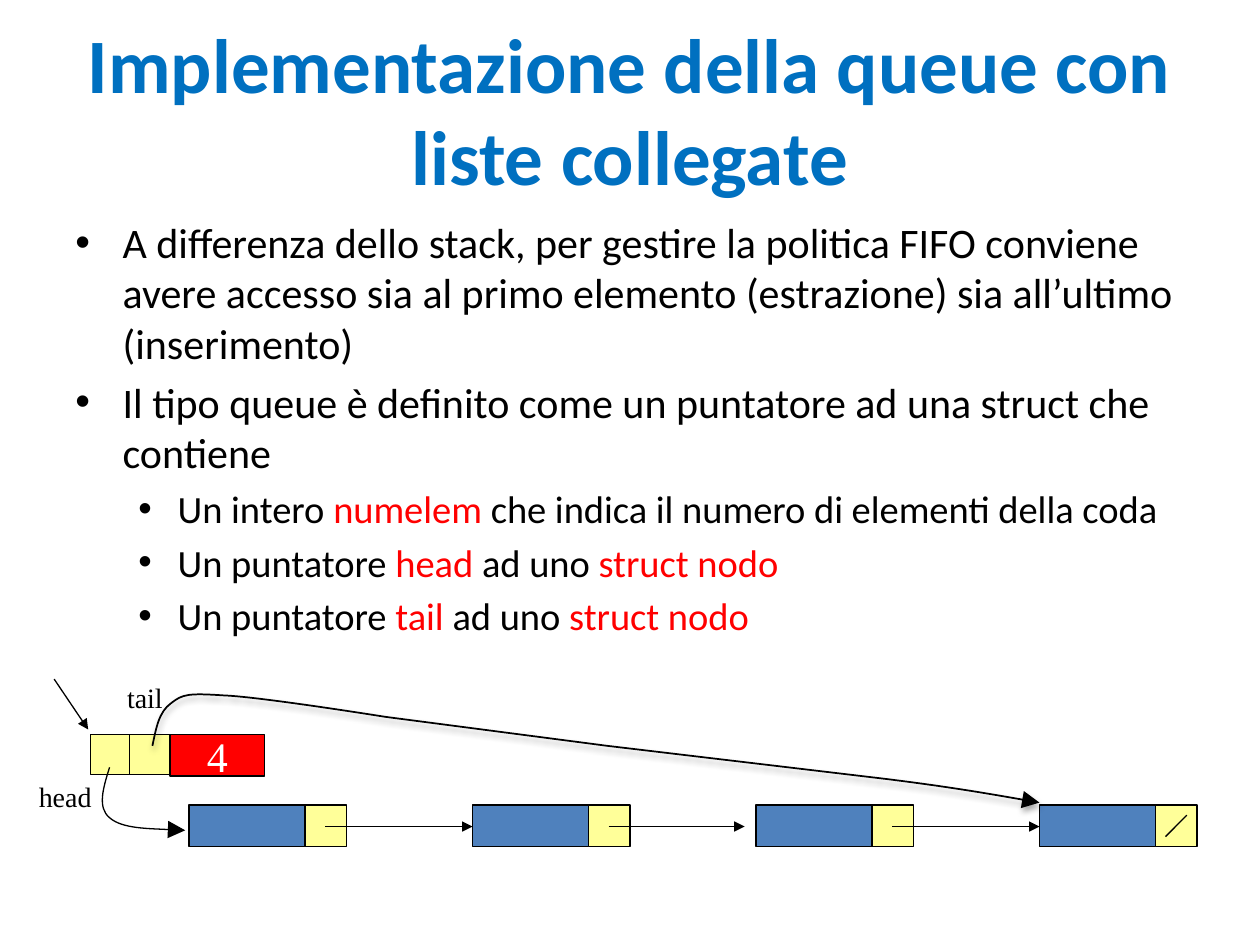
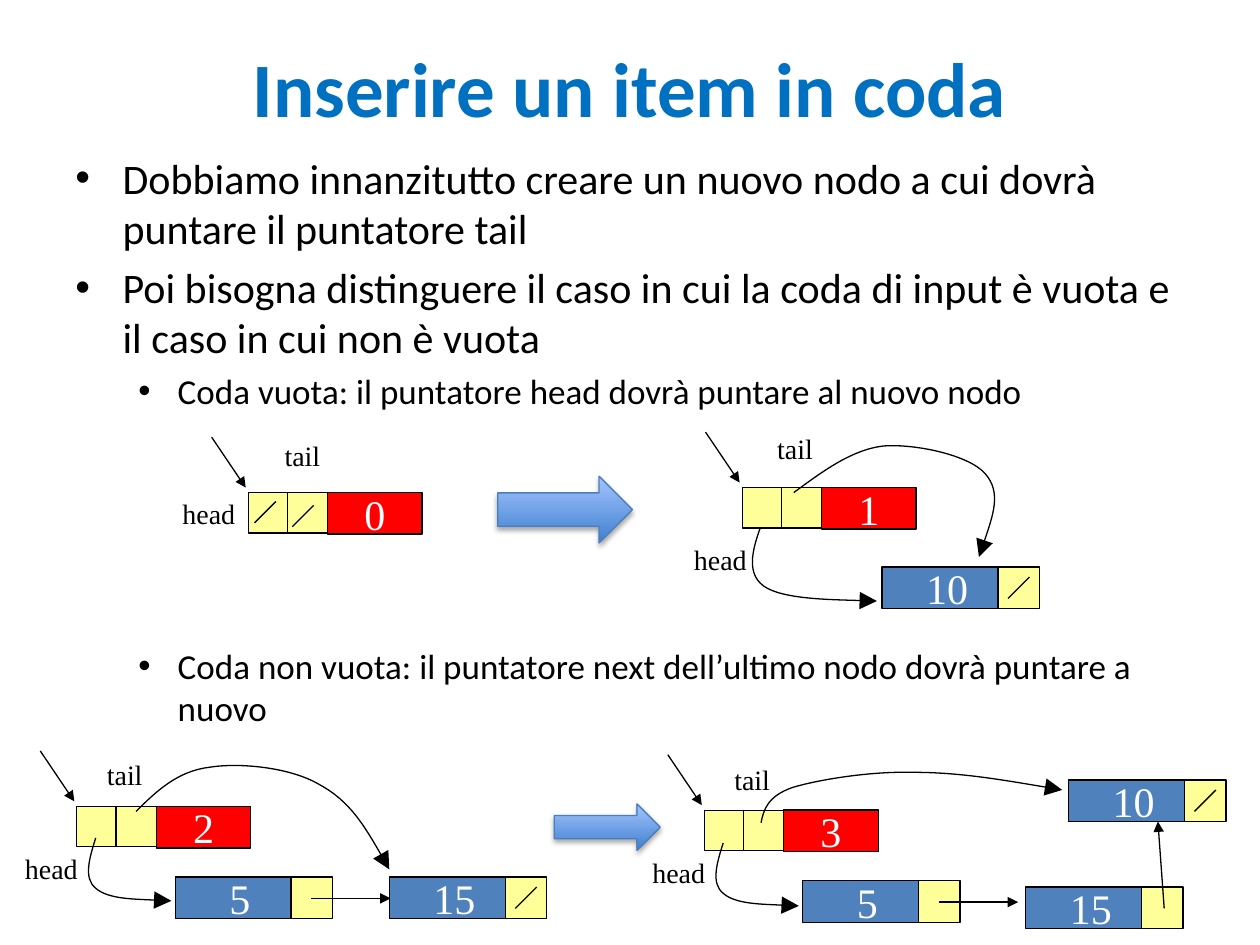
from dataclasses import dataclass

from lxml import etree
from pptx import Presentation
from pptx.dml.color import RGBColor
from pptx.enum.shapes import MSO_CONNECTOR, MSO_SHAPE
from pptx.enum.text import MSO_ANCHOR, MSO_AUTO_SIZE, PP_ALIGN
from pptx.oxml.ns import qn
from pptx.util import Emu, Pt

RECT, RIGHT_ARROW = MSO_SHAPE.RECTANGLE, MSO_SHAPE.RIGHT_ARROW
STRAIGHT = MSO_CONNECTOR.STRAIGHT
TOP, MIDDLE = MSO_ANCHOR.TOP, MSO_ANCHOR.MIDDLE
LEFT, CENTER = PP_ALIGN.LEFT, PP_ALIGN.CENTER
NO_FIT = MSO_AUTO_SIZE.NONE
EMU_PER_PX = 9144  # 100 px to the inch
TITLE_ONLY = 5
CURVE_STEPS = 16


@dataclass(frozen=True)
class Theme:
    title: str = "0070C0"
    ink: str = "000000"
    accent: str = "FF0000"
    light: str = "FFFFFF"
    data: str = "4F81BD"
    pointer: str = "FFFF99"
    arrow_dark: str = "3F80CE"
    arrow_light: str = "A4C4FF"
    arrow_line: str = "4B7EBC"
    body_font: str = "Calibri"
    diagram_font: str = "Times New Roman"
    title_size: int = 44
    bullet_size: int = 24
    detail_size: int = 22
    case_size: int = 20
    value_size: int = 24
    label_size: int = 16
    line: float = 0.75


def px(length):
    return Emu(round(length * EMU_PER_PX))


def rgb(color):
    return RGBColor.from_string(color)


def add_xml(parent, tag, **attributes):
    return etree.SubElement(parent, qn(tag), attributes)


def write(paragraph, content, font, size, color, accent=None, bold=False, align=LEFT):
    """Write one paragraph; each | switches between color and accent."""
    paragraph.alignment = align
    for index, part in enumerate(content.split("|")):
        if not part:
            continue
        run = paragraph.add_run()
        run.text = part
        run.font.name, run.font.size, run.font.bold = font, Pt(size), bold
        run.font.color.rgb = rgb(accent if index % 2 else color)


def bezier(start, first, second, end):
    """Points along one cubic curve, without its start."""
    for step in range(1, CURVE_STEPS + 1):
        t = step / CURVE_STEPS
        u = 1 - t
        yield tuple(u**3 * a + 3 * u * u * t * b + 3 * u * t * t * c + t**3 * d
                    for a, b, c, d in zip(start, first, second, end))


class Deck:
    def __init__(self, theme):
        self.theme = theme
        self.presentation = Presentation()
        self.presentation.slide_width = px(1000)
        self.presentation.slide_height = px(750)
        self.slide = None

    def new_slide(self, title, height):
        layout = self.presentation.slide_layouts[TITLE_ONLY]
        self.slide = self.presentation.slides.add_slide(layout)
        heading = self.slide.shapes.title
        heading.left, heading.top = px(50), px(14)
        heading.width, heading.height = px(900), px(height)
        frame = heading.text_frame
        frame.auto_size, frame.vertical_anchor = NO_FIT, MIDDLE
        write(frame.paragraphs[0], title, self.theme.body_font, self.theme.title_size,
              self.theme.title, bold=True, align=CENTER)

    def bullets(self, y, height, items):
        """Bulleted text; items are (level, size, content) and an optional gap in points."""
        box = self.slide.shapes.add_textbox(px(50), px(y), px(900), px(height))
        frame = box.text_frame
        frame.word_wrap, frame.vertical_anchor = True, TOP
        for index, (level, size, content, *gap) in enumerate(items):
            paragraph = frame.add_paragraph() if index else frame.paragraphs[0]
            write(paragraph, content, self.theme.body_font, size, self.theme.ink,
                  accent=self.theme.accent)
            paragraph.level = level
            paragraph.space_before = Pt(gap[0] if gap else size * 0.2)
            margin, hang = ((37.5, 37.5), (81.25, 31.25))[level]
            properties = paragraph._p.get_or_add_pPr()
            properties.set("marL", str(px(margin)))
            properties.set("indent", str(-px(hang)))
            add_xml(properties, "a:buFont", typeface="Arial")
            add_xml(properties, "a:buChar", char="•")

    def label(self, x, y, width, content):
        box = self.slide.shapes.add_textbox(px(x), px(y), px(width), px(37))
        box.text_frame.word_wrap = False
        write(box.text_frame.paragraphs[0], content, self.theme.diagram_font,
              self.theme.label_size, self.theme.ink)

    def cell(self, x, y, width, height, fill, value="", indent=0, align=CENTER):
        shape = self.slide.shapes.add_shape(RECT, px(x), px(y), px(width), px(height))
        shape.shadow.inherit = False
        shape.fill.solid()
        shape.fill.fore_color.rgb = rgb(fill)
        self.outline(shape)
        if value:
            frame = shape.text_frame
            frame.margin_left = px(indent)
            frame.margin_right = frame.margin_top = frame.margin_bottom = 0
            frame.word_wrap, frame.vertical_anchor = True, MIDDLE
            write(frame.paragraphs[0], value, self.theme.diagram_font,
                  self.theme.value_size, self.theme.light, align=align)

    def outline(self, shape, color=None, width=None, head=None):
        shape.line.color.rgb = rgb(color or self.theme.ink)
        shape.line.width = Pt(width or self.theme.line)
        if head:
            line = shape._element.spPr.find(qn("a:ln"))
            add_xml(line, "a:tailEnd", type="triangle", w=head, len=head)

    def soft_shadow(self, shape):
        effects = shape._element.spPr.find(qn("a:effectLst"))
        shadow = add_xml(effects, "a:outerShdw", blurRad=str(Pt(3.1)), dist=str(Pt(1.8)),
                         dir="5400000", rotWithShape="0")
        color = add_xml(shadow, "a:srgbClr", val=self.theme.ink)
        add_xml(color, "a:alpha", val="35000")

    def line(self, x1, y1, x2, y2, head="med"):
        connector = self.slide.shapes.add_connector(STRAIGHT, px(x1), px(y1), px(x2), px(y2))
        self.outline(connector, head=head)
        add_xml(connector._element.spPr, "a:effectLst")

    def curve(self, start, *segments, width=None, shadow=False):
        """Curved arrow; a segment is one end point (straight) or three (cubic)."""
        # Points along the curve give the shape its true bounds
        trace = [start]
        for segment in segments:
            trace.extend(bezier(trace[-1], *segment) if len(segment) == 3 else segment)
        trace = [(px(x), px(y)) for x, y in trace]
        builder = self.slide.shapes.build_freeform(*trace[0], scale=1.0)
        builder.add_line_segments(trace[1:], close=False)
        shape = builder.convert_to_shape()
        # The outline itself is made of the true segments
        outline = shape._element.spPr.find(".//" + qn("a:path"))
        for drawn in outline.findall(qn("a:lnTo")):
            outline.remove(drawn)
        for segment in segments:
            part = add_xml(outline, "a:cubicBezTo" if len(segment) == 3 else "a:lnTo")
            for x, y in segment:
                add_xml(part, "a:pt", x=str(px(x) - shape.left), y=str(px(y) - shape.top))
        shape.fill.background()
        shape.shadow.inherit = False
        self.outline(shape, width=width, head="lg")
        if shadow:
            self.soft_shadow(shape)

    def step_arrow(self, x, y, width, height):
        shape = self.slide.shapes.add_shape(RIGHT_ARROW, px(x), px(y), px(width), px(height))
        shape.fill.gradient()
        shape.fill.gradient_angle = 90
        colors = (self.theme.arrow_dark, self.theme.arrow_light)
        for stop, color in zip(shape.fill.gradient_stops, colors):
            stop.color.rgb = rgb(color)
        self.outline(shape, color=self.theme.arrow_line)
        shape.shadow.inherit = False
        self.soft_shadow(shape)

    # Parts of the queue diagrams
    def null_mark(self, x, y):
        self.line(x, y, x + 17, y - 17, head=None)

    def node(self, x, y, value="", last=False, next_length=0):
        indent = 35 if len(value) > 1 else 43
        self.cell(x, y, 92, 33, self.theme.data, value, indent, LEFT)
        self.cell(x + 92, y, 33, 33, self.theme.pointer)
        if last:
            self.null_mark(x + 100, y + 25)
        if next_length:
            self.line(x + 108, y + 17, x + 108 + next_length, y + 17)

    def queue(self, x, y, count, head_at=(-51, 31), tail_at=(19, -48)):
        """Queue record with its entry arrow; labels are placed from its corner."""
        self.cell(x, y, 31, 32, self.theme.pointer)
        self.cell(x + 31, y, 32, 32, self.theme.pointer)
        self.cell(x + 63, y, 75, 33, self.theme.accent, count)
        self.line(x - 29, y - 44, x - 2, y - 4)
        self.label(x + head_at[0], y + head_at[1], 63, "head")
        self.label(x + tail_at[0], y + tail_at[1], 49, "tail")

    def head_curve(self, x, y):
        self.curve((x + 15, y + 26),
                   [(x + 10, y + 42), (x + 5, y + 58), (x + 15, y + 66)],
                   [(x + 25, y + 75), (x + 75, y + 76), (x + 75, y + 76)])


def linked_list_slide(deck):
    size, detail = deck.theme.bullet_size, deck.theme.detail_size
    deck.new_slide("Implementazione della queue con liste collegate", 145)
    deck.bullets(167, 583, [
        (0, size, "A differenza dello stack, per gestire la politica FIFO conviene avere "
                  "accesso sia al primo elemento (estrazione) sia all’ultimo (inserimento)"),
        (0, size, "Il tipo queue è definito come un puntatore ad una struct che contiene"),
        (1, detail, "Un intero |numelem |che indica il numero di elementi della coda"),
        (1, detail, "Un puntatore |head |ad uno |struct nodo"),
        (1, detail, "Un puntatore |tail |ad uno |struct nodo"),
    ])
    # Four linked nodes
    for index, next_length in enumerate((117, 108, 117, 0)):
        deck.node(150 + 225 * index, 639, last=index == 3, next_length=next_length)
    # Queue record and its pointers
    deck.queue(72, 583, "4")
    deck.head_curve(72, 583)
    deck.curve((121, 592), [(124, 578), (126, 565), (136, 558)],
               [(145, 551), (149, 550), (178, 552)], [(206, 553), (306, 569), (306, 569)],
               [(482, 592)], [(701, 618)], [(758, 625), (825, 637), (825, 637)],
               width=1, shadow=True)


def insertion_slide(deck):
    size, case = deck.theme.bullet_size, deck.theme.case_size
    deck.new_slide("Inserire un item in coda", 110)
    deck.bullets(116, 173, [
        (0, size, "Dobbiamo innanzitutto creare un nuovo nodo a cui dovrà puntare il "
                  "puntatore tail"),
        (0, size, "Poi bisogna distinguere il caso in cui la coda di input è vuota e il "
                  "caso in cui non è vuota"),
        (1, case, "Coda vuota: il puntatore head dovrà puntare al nuovo nodo"),
        (1, case, "Coda non vuota: il puntatore next dell’ultimo nodo dovrà puntare a nuovo",
         133),
    ])
    # Empty queue, before
    deck.queue(197, 391, "0", head_at=(-62, -2))
    deck.null_mark(202, 415)
    deck.null_mark(232, 418)
    deck.step_arrow(395, 378, 107, 53)
    # Empty queue, after
    deck.curve((606, 412), [(598, 433), (591, 454), (606, 465)],
               [(621, 476), (696, 477), (696, 477)])
    deck.queue(589, 387, "1", head_at=(-48, 39), tail_at=(18, -49))
    deck.node(700, 450, "10", last=True)
    deck.curve((630, 391), [(653, 374), (676, 357), (701, 354)],
               [(726, 352), (769, 361), (782, 376)], [(795, 391), (786, 416), (777, 442)])
    # Queue with nodes, before
    deck.queue(61, 640, "2", tail_at=(14, -44))
    deck.node(139, 696, "5", next_length=63)
    deck.node(309, 696, "15", last=True)
    deck.head_curve(61, 639)
    deck.curve((108, 644), [(124, 628), (141, 612), (166, 609)],
               [(190, 605), (231, 609), (254, 623)], [(278, 636), (294, 663), (309, 690)])
    deck.step_arrow(440, 638, 84, 37)
    # Queue with nodes, after
    deck.queue(559, 643, "3", tail_at=(14, -43))
    deck.node(637, 699, "5", next_length=63)
    deck.node(814, 704, "15")
    deck.node(848, 619, "10", last=True)
    deck.line(924, 721, 919, 652)
    deck.head_curve(559, 643)
    deck.curve((604, 653), [(606, 643), (609, 632), (629, 625)],
               [(649, 619), (690, 612), (725, 613)], [(761, 613), (802, 620), (843, 627)])


def main():
    deck = Deck(Theme())
    linked_list_slide(deck)
    insertion_slide(deck)
    deck.presentation.save("out.pptx")


if __name__ == "__main__":
    main()
